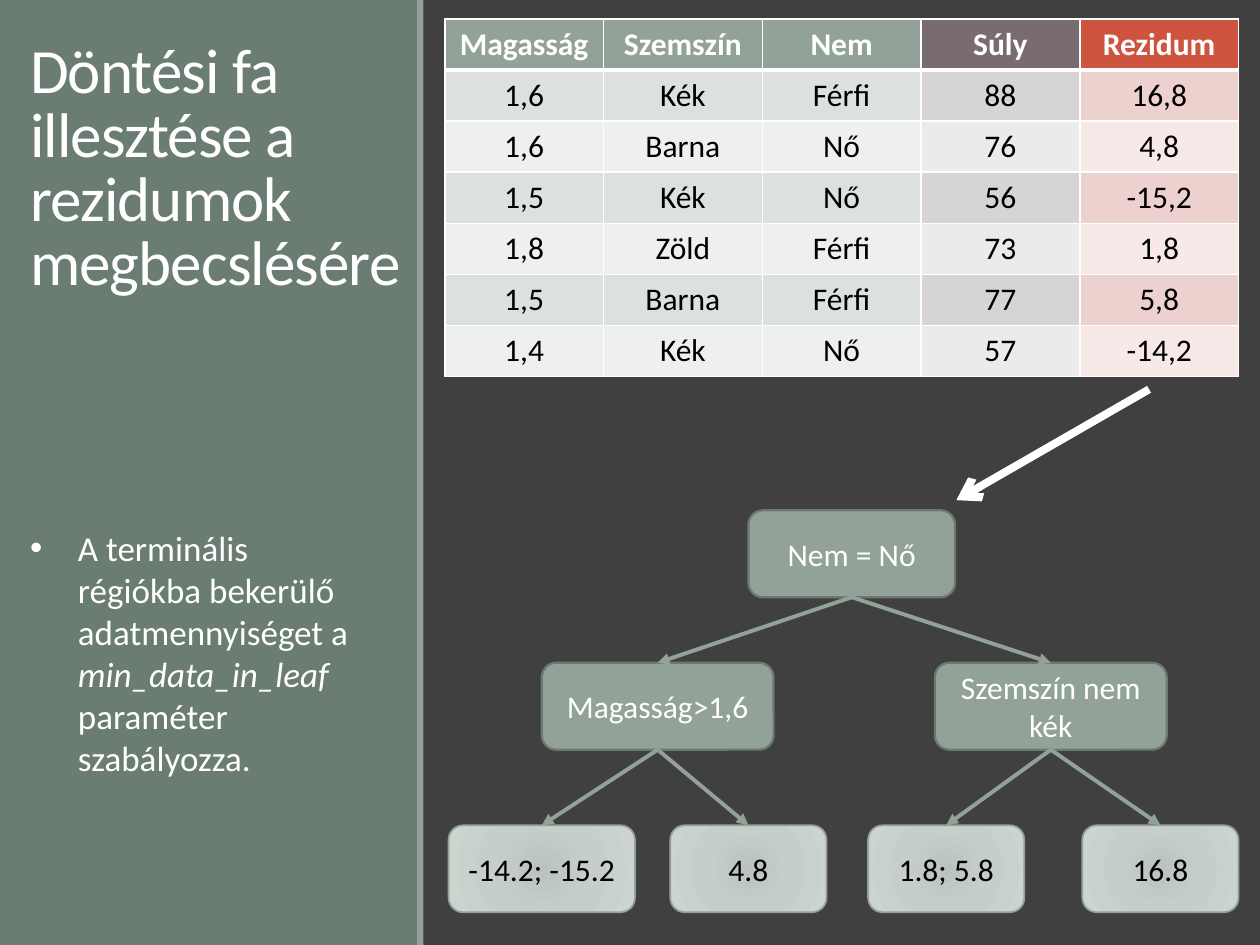
from pptx import Presentation
from pptx.dml.color import RGBColor
from pptx.enum.shapes import MSO_CONNECTOR, MSO_SHAPE
from pptx.enum.text import MSO_ANCHOR, PP_ALIGN
from pptx.oxml import parse_xml
from pptx.oxml.ns import nsdecls, qn
from pptx.util import Inches, Pt
from lxml.etree import SubElement

HUES = {
    "back": "404040", "side": "6B7D72", "sage": "93A299", "edge": "6D7871",
    "white": "FFFFFF", "black": "000000", "plum": "786C71", "red": "CF543F",
}
BANDS = {
    "sage": ("DCE0DE", "EEF0EF"),
    "plum": ("D6D4D5", "ECEBEB"),
    "red": ("EDD1CF", "F6E9E8"),
}
STOPS = {0: "BAC3BE", 45: "C6CEC9", 100: "CCD4CF"}
GRIDS = [
    ("sage", [
        ("Magasság", "Szemszín", "Nem"),
        ("1,6", "Kék", "Férfi"),
        ("1,6", "Barna", "Nő"),
        ("1,5", "Kék", "Nő"),
        ("1,8", "Zöld", "Férfi"),
        ("1,5", "Barna", "Férfi"),
        ("1,4", "Kék", "Nő"),
    ]),
    ("plum", [(t,) for t in ("Súly", "88", "76", "56", "73", "77", "57")]),
    ("red", [(t,) for t in ("Rezidum", "16,8", "4,8", "-15,2", "1,8", "5,8", "-14,2")]),
]
NODES = [
    ("Nem = Nő", 3.2, 0, 1.64),
    ("Magasság>1,6", 1.66, 1.21, 1.84),
    ("Szemszín nem kék", 4.78, 1.21, 1.84),
    ("-14.2; -15.2", 0.74, 2.5, 1.48),
    ("4.8", 2.38, 2.5, 1.24),
    ("1.8; 5.8", 3.95, 2.5, 1.24),
    ("16.8", 5.65, 2.5, 1.24),
]


def tint(name):
    return RGBColor.from_string(HUES.get(name, name))


def write(para, text, hue, size=18, **more):
    run = para.add_run()
    run.text = text
    style = {"name": "Calibri", "size": Pt(size), **more}
    for key, value in style.items():
        setattr(run.font, key, value)
    run.font.color.rgb = tint(hue)
    return run


def block(slide, kind, box, fill):
    shape = slide.shapes.add_shape(kind, *map(Inches, box))
    shape.shadow.inherit = False
    shape.fill.solid()
    shape.fill.fore_color.rgb = tint(fill)
    shape.line.fill.background()
    return shape


def arrow(slide, start, end, hue, width, head):
    line = slide.shapes.add_connector(
        MSO_CONNECTOR.STRAIGHT, *map(Inches, start + end))
    line.line.color.rgb = tint(hue)
    line.line.width = Pt(width)
    prop = line._element.spPr
    SubElement(prop.find(qn("a:ln")), qn("a:tailEnd"), type=head)
    SubElement(prop, qn("a:effectLst"))
    return line


def panel(slide, box):
    x, y, w, h = box
    block(slide, MSO_SHAPE.RECTANGLE, (x, y, w - 0.04, h), "side")
    block(slide, MSO_SHAPE.RECTANGLE, (x + w - 0.05, y, 0.05, h), "sage")


def label(slide, box, anchor):
    frame = slide.shapes.add_textbox(*map(Inches, box)).text_frame
    frame.word_wrap = True
    frame.vertical_anchor = anchor
    return frame.paragraphs[0]


def title(slide, box):
    para = label(slide, box, MSO_ANCHOR.BOTTOM)
    para.line_spacing = 0.85
    run = write(para, "Döntési fa illesztése a rezidumok megbecslésére", "white", 36)
    run.font._element.set("spc", "-50")


def note(slide, box):
    para = label(slide, box, MSO_ANCHOR.TOP)
    para.space_after = Pt(8)
    prop = para._p.get_or_add_pPr()
    prop.set("marL", str(Inches(0.38)))
    prop.set("indent", str(-Inches(0.38)))
    SubElement(prop, qn("a:buFont"), typeface="Arial")
    SubElement(prop, qn("a:buChar"), char="•")
    write(para, "A terminális régiókba bekerülő adatmennyiséget a ", "white", 20)
    write(para, "min_data_in_leaf ", "white", 20, italic=True)
    write(para, "paraméter szabályozza.", "white", 20)


def border(cell, head):
    prop = cell._tc.get_or_add_tcPr()
    for side in "LRTB":
        width = 3 if head and side == "B" else 1
        prop.append(parse_xml(
            f'<a:ln{side} {nsdecls("a")} w="{Pt(width)}"><a:solidFill>'
            f'<a:srgbClr val="{HUES["white"]}"/></a:solidFill></a:ln{side}>'))


def grid(slide, box, hue, rows):
    table = slide.shapes.add_table(
        len(rows), len(rows[0]), *map(Inches, box)).table
    table.horz_banding = False
    for r, row in enumerate(rows):
        head = r == 0
        for c, text in enumerate(row):
            cell = table.cell(r, c)
            border(cell, head)
            cell.fill.solid()
            cell.fill.fore_color.rgb = tint(hue if head else BANDS[hue][(r - 1) % 2])
            para = cell.text_frame.paragraphs[0]
            para.alignment = PP_ALIGN.CENTER
            write(para, text, "white" if head else "black", bold=head)


def tables(slide, box):
    x, y, w, h = box
    step = w / sum(len(rows[0]) for _, rows in GRIDS)
    for hue, rows in GRIDS:
        wide = step * len(rows[0])
        grid(slide, (x, y, wide, h), hue, rows)
        x += wide


def glow(shape):
    stops = "".join(
        f'<a:gs pos="{at * 1000}"><a:srgbClr val="{hue}"/></a:gs>'
        for at, hue in STOPS.items())
    prop = shape._element.spPr
    prop.replace(prop.find(qn("a:solidFill")), parse_xml(
        f'<a:gradFill {nsdecls("a")} rotWithShape="1"><a:gsLst>{stops}</a:gsLst>'
        '<a:path path="circle"><a:fillToRect l="50000" t="50000" r="50000" b="50000"/>'
        '</a:path></a:gradFill>'))


def node(slide, box, text, leaf):
    shape = block(slide, MSO_SHAPE.ROUNDED_RECTANGLE, box, "sage")
    shape.line.color.rgb = tint("sage" if leaf else "edge")
    shape.line.width = Pt(1 if leaf else 1.25)
    if leaf:
        glow(shape)
    frame = shape.text_frame
    frame.word_wrap = True
    frame.vertical_anchor = MSO_ANCHOR.MIDDLE
    para = frame.paragraphs[0]
    para.alignment = PP_ALIGN.CENTER
    write(para, text, "black" if leaf else "white")
    return shape


def tree(slide, box):
    x, y, w, h = box
    tall = h - NODES[-1][2]
    shapes = [
        node(slide, (x + mid - wide / 2, y + top, wide, tall), text, i > 2)
        for i, (text, mid, top, wide) in enumerate(NODES)]
    for i, child in enumerate(shapes[1:]):
        line = arrow(slide, (x, y), (x + w, y + h), "sage", 2.25, "triangle")
        line.begin_connect(shapes[i // 2], 2)
        line.end_connect(child, 0)


def main():
    deck = Presentation()
    deck.slide_width, deck.slide_height = Inches(10), Inches(7.5)
    slide = deck.slides.add_slide(deck.slide_layouts[6])
    slide.background.fill.solid()
    slide.background.fill.fore_color.rgb = tint("back")
    panel(slide, (0, 0, 3.36, 7.5))
    title(slide, (0.14, 0.09, 3.2, 2.33))
    tables(slide, (3.53, 0.15, 6.3, 2.84))
    tree(slide, (3.56, 4.05, 6.27, 3.19))
    arrow(slide, (9.12, 3.09), (7.59, 3.97), "white", 4.5, "arrow")
    note(slide, (0.14, 4.13, 2.95, 2.12))
    deck.save("out.pptx")


if __name__ == "__main__":
    main()
